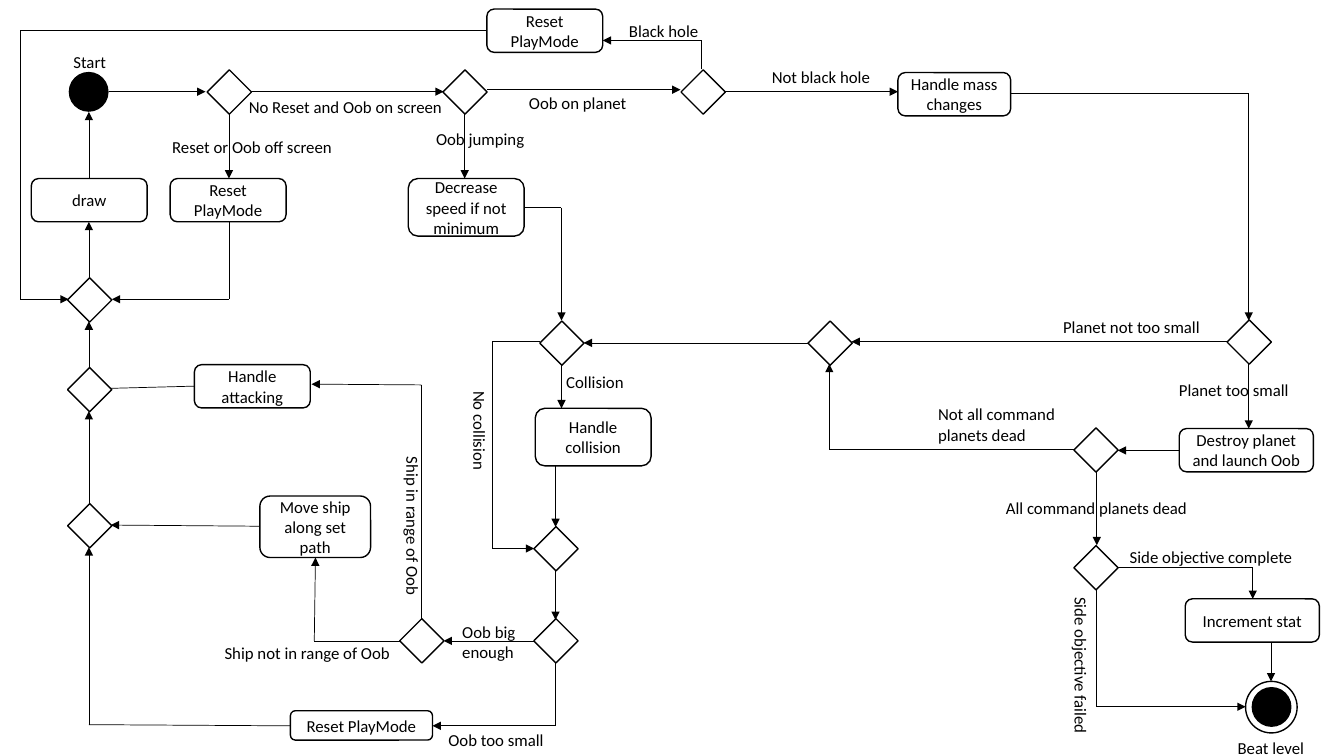
from pptx import Presentation
from pptx.dml.color import RGBColor
from pptx.enum.shapes import MSO_CONNECTOR, MSO_SHAPE
from pptx.enum.text import MSO_ANCHOR, MSO_AUTO_SIZE, PP_ALIGN
from pptx.oxml.ns import qn
from pptx.util import Cm, Pt
from lxml import etree

STRAIGHT = MSO_CONNECTOR.STRAIGHT
RECTANGLE, ROUNDED, OVAL = MSO_SHAPE.RECTANGLE, MSO_SHAPE.ROUNDED_RECTANGLE, MSO_SHAPE.OVAL
MIDDLE = MSO_ANCHOR.MIDDLE
FIT_SHAPE = MSO_AUTO_SIZE.SHAPE_TO_FIT_TEXT
LEFT, CENTER = PP_ALIGN.LEFT, PP_ALIGN.CENTER
COLORS = {"ink": "000000", "paper": "FFFFFF"}
INK = RGBColor.from_string(COLORS["ink"])

presentation = Presentation()
presentation.slide_width, presentation.slide_height = Cm(33.87), Cm(19.05)
slide = presentation.slides.add_slide(presentation.slide_layouts[6])


def add_node(kind, left, top, width, height, fill="paper"):
    shape = slide.shapes.add_shape(kind, Cm(left), Cm(top), Cm(width), Cm(height))
    shape.shadow.inherit = False
    shape.fill.solid()
    shape.fill.fore_color.rgb = RGBColor.from_string(COLORS[fill])
    shape.line.color.rgb = INK
    shape.line.width = Pt(1)
    return shape


def write(text_frame, text, alignment):
    for index, line in enumerate(text.split("\n")):
        paragraph = text_frame.add_paragraph() if index else text_frame.paragraphs[0]
        paragraph.alignment = alignment
        run = paragraph.add_run()
        run.text = line
        run.font.name = "Calibri"
        run.font.size = Pt(12)
        run.font.color.rgb = INK


arrow_paths = [
    [(2.74, 2.31), (5.18, 2.31)],
    [(5.77, 2.87), (5.77, 4.5)],
    [(6.3, 2.31), (11.18, 2.31)],
    [(2.24, 4.5), (2.24, 2.82)],
    [(11.71, 2.87), (11.71, 4.5)],
    [(12.27, 2.26), (17.15, 2.26)],
    [(18.26, 2.31), (22.63, 2.31)],
    [(25.27, 2.36), (31.47, 2.36), (31.47, 8.08)],
    [(31.47, 9.17), (31.47, 10.8)],
    [(29.72, 11.35), (28.17, 11.35)],
    [(27.64, 11.89), (27.64, 13.74)],
    [(13.21, 5.23), (14.15, 5.23), (14.15, 8.08)],
    [(14, 14.35), (14, 15.62)],
    [(14, 16.69), (14, 18.29), (10.9, 18.29)],
    [(7.32, 18.29), (2.24, 18.26), (2.24, 13.79)],
    [(10.08, 16.15), (7.92, 16.15), (7.95, 14.05)],
    [(10.62, 15.6), (10.62, 9.7), (7.85, 9.68)],
    [(17.68, 1.75), (17.68, 1.02), (15.19, 1.02)],
    [(12.27, 0.76), (0.51, 0.76), (0.51, 7.54), (1.73, 7.54)],
    [(5.77, 5.59), (5.77, 7.54), (2.82, 7.54)],
    [(28.17, 14.3), (31.57, 14.3), (31.57, 15.09)],
    [(32.03, 16.21), (32.03, 17.17)],
    [(27.64, 14.86), (27.64, 17.81), (31.39, 17.81)],
    [(27.08, 11.33), (20.9, 11.33), (20.9, 9.17)],
    [(20.37, 8.64), (14.71, 8.64)],
    [(30.91, 8.61), (21.46, 8.61)],
    [(14.15, 9.19), (14.15, 10.29)],
    [(13.61, 8.61), (12.4, 8.61), (12.4, 13.82), (13.46, 13.82)],
    [(14, 11.71), (14, 13.28)],
    [(13.46, 16.15), (11.18, 16.15)],
    [(6.55, 13.26), (2.79, 13.23)],
    [(2.24, 12.7), (2.24, 10.36)],
    [(2.24, 9.25), (2.24, 8.1)],
    [(2.24, 7.01), (2.24, 5.59)],
]
plain_paths = [[(4.9, 9.73), (2.24, 9.8)]]

for path in arrow_paths + plain_paths:
    for start, end in zip(path, path[1:]):
        connector = slide.shapes.add_connector(STRAIGHT, *map(Cm, start + end))
        connector.line.color.rgb = INK
        connector.line.width = Pt(0.5)
        etree.SubElement(connector._element.spPr, qn("a:effectLst"))
    if path not in plain_paths:
        line_element = connector.line._get_or_add_ln()
        etree.SubElement(line_element, qn("a:tailEnd"), type="triangle")

decision_side = 0.79
decision_centers = [
    (5.78, 2.32), (11.72, 2.32), (17.72, 2.32),
    (2.26, 7.56), (2.26, 9.82), (2.26, 13.25),
    (14.16, 8.65), (20.92, 8.65), (31.48, 8.62),
    (14.01, 13.83), (14.01, 16.15), (10.63, 16.15),
    (27.62, 11.34), (27.62, 14.31),
]
for x, y in decision_centers:
    decision = add_node(RECTANGLE, x - decision_side / 2, y - decision_side / 2,
                        decision_side, decision_side)
    decision.rotation = 45

actions = [
    ("draw", 0.79, 4.5, 2.92, 1.09),
    ("Reset PlayMode", 4.29, 4.5, 2.92, 1.09),
    ("Decrease speed if not minimum", 10.29, 4.5, 2.92, 1.45),
    ("Reset PlayMode", 12.27, 0.23, 2.92, 1.09),
    ("Handle mass changes", 22.63, 1.83, 2.84, 1.09),
    ("Destroy planet and launch Oob", 29.72, 10.8, 3.38, 1.09),
    ("Increment stat", 29.87, 15.09, 3.38, 1.09),
    ("Handle collision", 13.49, 10.29, 2.92, 1.45),
    ("Handle attacking", 4.9, 9.19, 2.92, 1.09),
    ("Move ship along set path", 6.55, 12.5, 2.79, 1.55),
    ("Reset PlayMode", 7.32, 17.91, 3.58, 0.74),
]
for text, *box in actions:
    action = add_node(ROUNDED, *box)
    action.text_frame.word_wrap = True
    action.text_frame.vertical_anchor = MIDDLE
    write(action.text_frame, text, CENTER)

add_node(OVAL, 1.75, 1.83, 0.97, 0.97, "ink")
add_node(OVAL, 31.39, 17.17, 1.3, 1.3)
add_node(OVAL, 31.56, 17.33, 0.97, 0.97, "ink")

labels = [
    ("Start", 1.6, 1.17, 1.35, 0.77, 0, False),
    ("Reset or Oob off screen", 4.09, 3.33, 4.72, 0.77, 0, True),
    ("No Reset and Oob on screen", 6.02, 2.31, 5.44, 0.77, 0, False),
    ("Oob jumping", 10.74, 3.12, 2.77, 0.77, 0, False),
    ("Oob on planet", 13.08, 2.21, 3, 0.77, 0, False),
    ("Black hole", 15.6, 0.41, 2.29, 0.77, 0, False),
    ("Not black hole", 19.2, 1.55, 3.02, 0.77, 0, False),
    ("Planet not too small", 26.54, 7.85, 4.01, 0.77, 0, False),
    ("Planet too small", 29.46, 9.45, 3.33, 0.77, 0, False),
    ("Not all command\nplanets dead", 23.39, 10.06, 3.51, 1.28, 0, False),
    ("All command planets dead", 25.1, 12.42, 5.13, 0.77, 0, False),
    ("Side objective complete", 28.22, 13.64, 4.67, 0.77, 0, False),
    ("Side objective failed", 25.25, 16.41, 3.99, 0.77, 90, False),
    ("Beat level", 30.94, 18.47, 2.21, 0.77, 0, False),
    ("Collision", 14.02, 9.25, 1.98, 0.77, 0, False),
    ("No collision", 10.82, 10.49, 2.54, 0.77, 90, False),
    ("Ship in range of Oob", 8.38, 12.9, 4.04, 0.77, 90, False),
    ("Ship not in range of Oob", 5.41, 16.08, 4.72, 0.77, 0, False),
    ("Oob big enough", 11.4, 15.54, 2.13, 1.28, 0, True),
    ("Oob too small", 11.05, 18.26, 2.95, 0.77, 0, False),
]
for text, left, top, width, height, rotation, wraps in labels:
    label = slide.shapes.add_textbox(Cm(left), Cm(top), Cm(width), Cm(height))
    label.rotation = rotation
    label.text_frame.word_wrap = wraps
    label.text_frame.auto_size = FIT_SHAPE
    write(label.text_frame, text, LEFT)

presentation.save("out.pptx")
